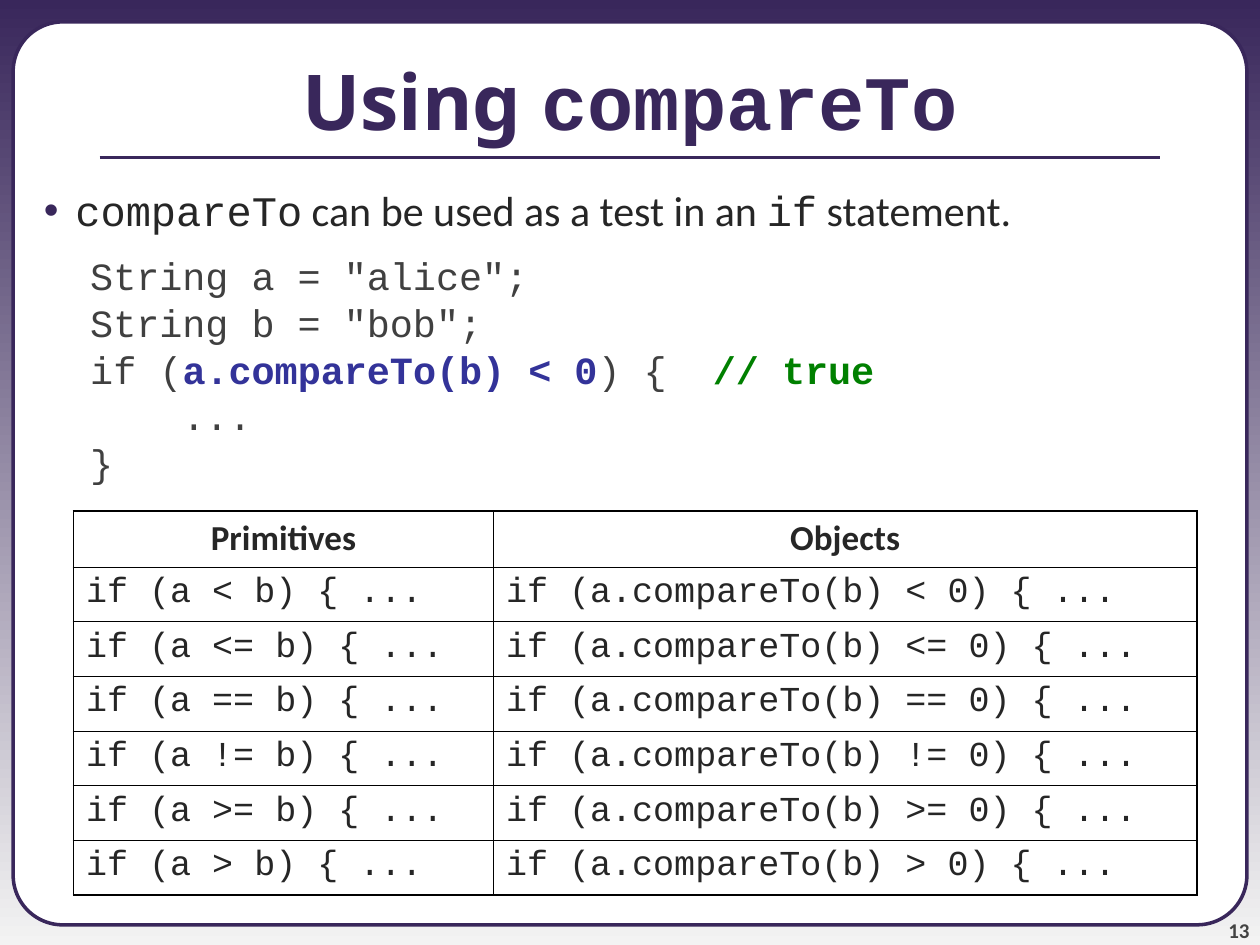
from lxml import etree
from pptx import Presentation
from pptx import util as u
from pptx.dml import color
from pptx.enum import shapes, text
from pptx.oxml import ns

Pt = u.Pt
PURPLE, INK, GRAY, BLACK = "39275B", "262626", "404040", "000000"
CODE, SANS, HEADING = "Courier New", "Calibri", "Noto Sans"
LEFT, CENTER, RIGHT = text.PP_ALIGN.LEFT, text.PP_ALIGN.CENTER, text.PP_ALIGN.RIGHT
OPERATORS = ["<", "<=", "==", "!=", ">=", ">"]


def rgb(value):
    return color.RGBColor.from_string(value)


def set_attributes(target, values):
    for name, value in values.items():
        setattr(target, name, value)


def add_run(paragraph, wording, size, font, ink, bold=False):
    run = paragraph.add_run()
    run.text = wording
    set_attributes(run.font, {"size": Pt(size), "name": font, "bold": bold})
    run.font.color.rgb = rgb(ink)


def add_text_frame(slide, box, anchor, margins):
    frame = slide.shapes.add_textbox(*map(Pt, box)).text_frame
    horizontal, vertical = map(Pt, margins)
    set_attributes(frame, {
        "word_wrap": True, "vertical_anchor": anchor,
        "margin_left": horizontal, "margin_right": horizontal,
        "margin_top": vertical, "margin_bottom": vertical,
    })
    return frame


def set_indent(paragraph, margin, first_line, bullet=None):
    properties = paragraph._p.get_or_add_pPr()
    properties.set("marL", str(Pt(margin)))
    properties.set("indent", str(Pt(first_line)))
    if bullet:
        bullet_color = etree.SubElement(properties, ns.qn("a:buClr"))
        etree.SubElement(bullet_color, ns.qn("a:srgbClr"), val=PURPLE)
        etree.SubElement(properties, ns.qn("a:buFont"), typeface="Arial")
        etree.SubElement(properties, ns.qn("a:buChar"), char=bullet)


def draw_background(slide):
    fill = slide.background.fill
    fill.gradient()
    fill.gradient_angle = 270
    for stop, value in zip(fill.gradient_stops, (PURPLE, "F3F3F3")):
        stop.color.rgb = rgb(value)


def draw_panel(slide, box):
    panel = slide.shapes.add_shape(shapes.MSO_SHAPE.ROUNDED_RECTANGLE, *map(Pt, box))
    panel.adjustments[0] = 0.055
    panel.shadow.inherit = False
    panel.fill.solid()
    panel.fill.fore_color.rgb = rgb("FFFFFF")
    panel.line.color.rgb = rgb(PURPLE)
    panel.line.width = Pt(2)


def draw_page_number(slide, box):
    frame = add_text_frame(slide, box, text.MSO_ANCHOR.BOTTOM, (0, 0))
    paragraph = frame.paragraphs[0]
    paragraph.alignment = RIGHT
    add_run(paragraph, "13", 12, SANS, "424242", True)


def draw_title(slide, box):
    left, top, width, height = box
    inset, rule_y = 57, top + height - 12
    rule = slide.shapes.add_connector(
        shapes.MSO_CONNECTOR.STRAIGHT,
        *map(Pt, (left + inset, rule_y, left + width - inset, rule_y)))
    rule.line.color.rgb = rgb(PURPLE)
    rule.line.width = Pt(2.25)
    etree.SubElement(rule._element.spPr, ns.qn("a:effectLst"))
    frame = add_text_frame(slide, box, text.MSO_ANCHOR.MIDDLE, (7.2, 3.6))
    paragraph = frame.paragraphs[0]
    paragraph.alignment = CENTER
    add_run(paragraph, "Using ", 44, HEADING, PURPLE, True)
    add_run(paragraph, "compareTo", 44, CODE, PURPLE, True)


def draw_body(slide, box):
    frame = add_text_frame(slide, box, text.MSO_ANCHOR.TOP, (7.2, 3.6))
    statement = frame.paragraphs[0]
    set_indent(statement, 36, -18, "•")
    for wording, font in [("compareTo", CODE), (" can be used as a test in an ", SANS),
                          ("if", CODE), (" statement.", SANS)]:
        add_run(statement, wording, 24, font, INK)

    code_lines = [
        [('String a = "alice";', GRAY, False)],
        [('String b = "bob";', GRAY, False)],
        [("if (", GRAY, False), ("a.compareTo(b) < 0", "333399", True),
         (") {  ", GRAY, False), ("// true", "008000", True)],
        [("    ...", GRAY, False)],
        [("}", GRAY, False)],
    ]
    for index, code_line in enumerate(code_lines):
        paragraph = frame.add_paragraph()
        set_indent(paragraph, 67, -22.5)
        set_attributes(paragraph, {
            "line_spacing": 0.8, "space_before": Pt(5.5 if index else 15)})
        for wording, ink, bold in code_line:
            add_run(paragraph, wording, 22, CODE, ink, bold)


def set_borders(cell, widths):
    properties = cell._tc.get_or_add_tcPr()
    for index, (side, width) in enumerate(widths.items()):
        border = etree.Element(ns.qn(f"a:ln{side}"), w=str(Pt(width)))
        fill = etree.SubElement(border, ns.qn("a:solidFill"))
        etree.SubElement(fill, ns.qn("a:srgbClr"), val=BLACK)
        properties.insert(index, border)


def draw_comparison_table(slide, box):
    rows = [("Primitives", "Objects")]
    rows += [(f"if (a {operator} b) {{ ...", f"if (a.compareTo(b) {operator} 0) {{ ...")
             for operator in OPERATORS]
    table = slide.shapes.add_table(len(rows), 2, *map(Pt, box)).table
    set_attributes(table, {"first_row": False, "horz_banding": False})
    first_width = 240
    table.columns[0].width = Pt(first_width)
    table.columns[1].width = Pt(box[2] - first_width)
    thick, thin = 1.08, 0.45
    last = len(rows) - 1
    for row_index, row in enumerate(rows):
        header = row_index == 0
        table.rows[row_index].height = Pt(32 if header else 31)
        for column_index, wording in enumerate(row):
            cell = table.cell(row_index, column_index)
            cell.fill.background()
            set_borders(cell, {
                "L": thin if column_index else thick,
                "R": thick if column_index else thin,
                "T": thick if header else thin,
                "B": thick if row_index == last else thin,
            })
            paragraph = cell.text_frame.paragraphs[0]
            paragraph.alignment = CENTER if header else LEFT
            add_run(paragraph, wording, 20, SANS if header else CODE, INK, header)


def main():
    presentation = Presentation()
    set_attributes(presentation, {"slide_width": Pt(720), "slide_height": Pt(540)})
    slide = presentation.slides.add_slide(presentation.slide_layouts[6])
    draw_background(slide)
    draw_panel(slide, (7.5, 12.5, 705, 516))
    draw_page_number(slide, (654, 510, 60, 28.5))
    draw_title(slide, (0, 12, 720, 90))
    draw_body(slide, (0, 102, 720, 438))
    draw_comparison_table(slide, (42, 292, 642, 218))
    presentation.save("out.pptx")


if __name__ == "__main__":
    main()
